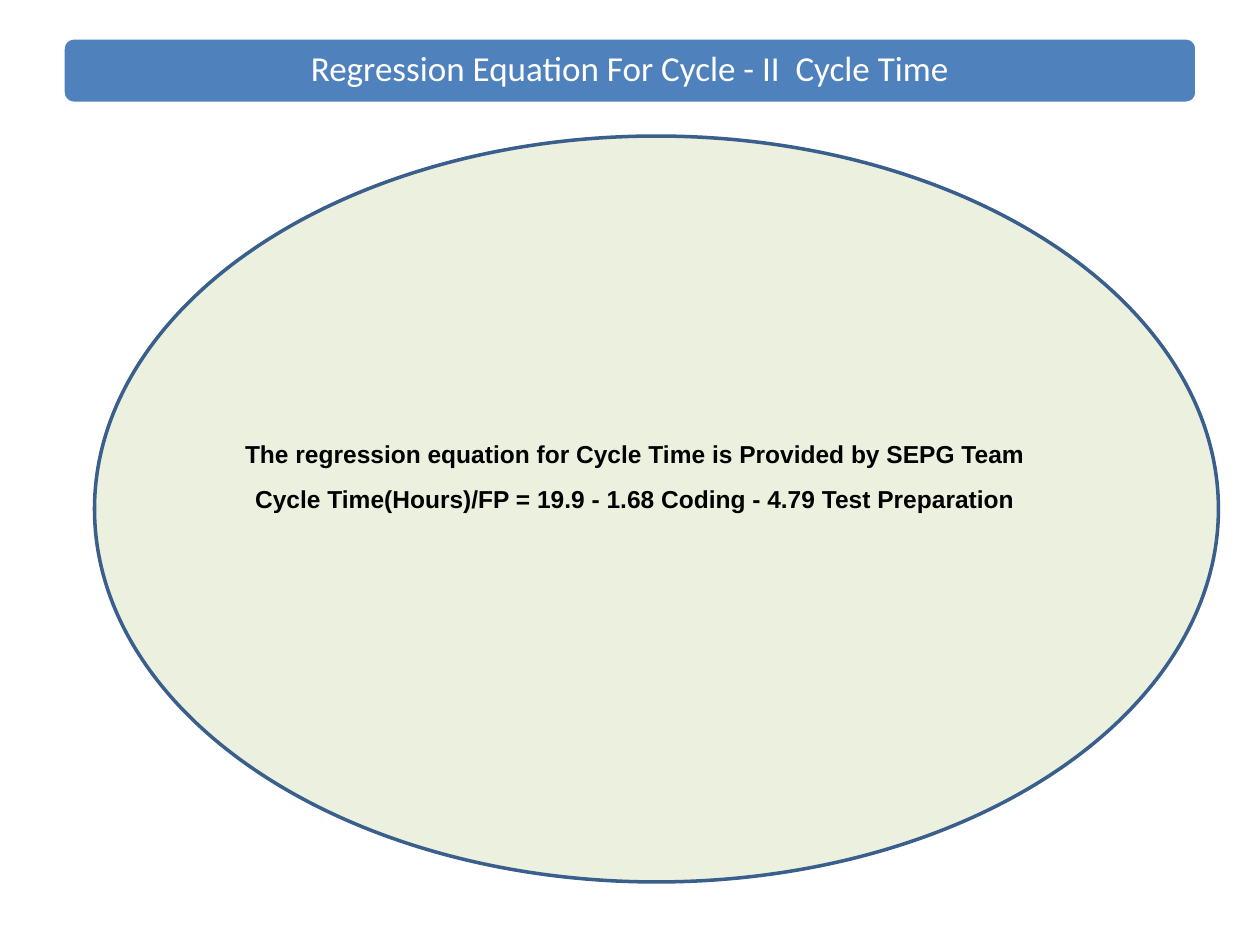
from lxml.etree import SubElement
from pptx import Presentation
from pptx.dml.color import RGBColor
from pptx.enum.shapes import MSO_SHAPE
from pptx.enum.text import MSO_ANCHOR, PP_ALIGN
from pptx.oxml.ns import qn
from pptx.util import Inches, Pt

WHITE = RGBColor(0xFF, 0xFF, 0xFF)
BLACK = RGBColor(0, 0, 0)
BLUE = RGBColor(0x4F, 0x81, 0xBD)
NAVY = RGBColor(0x3A, 0x5F, 0x8C)
PALE_GREEN = RGBColor(0xEB, 0xF1, 0xDE)

PLAIN_TABLE_STYLE = "{2D5ABB26-0587-4C30-8999-92F81FD0307C}"
TITLE = "Regression Equation For Cycle - II  Cycle Time"
ROWS = [
    (0.36, None),
    (0.25, None),
    (0.36, "The regression equation for Cycle Time is Provided by SEPG Team"),
    (0.36, "Cycle Time(Hours)/FP = 19.9 - 1.68 Coding - 4.79 Test Preparation"),
]
COLUMN_WIDTHS = [2.08] + [1.2] * 5


def add_panel(slide, kind, box, fill, line):
    sp = slide.shapes.add_shape(kind, *map(Inches, box))
    sp.shadow.inherit = False
    sp.fill.solid()
    sp.fill.fore_color.rgb = fill
    sp.line.color.rgb = line
    sp.line.width = Pt(2)
    return sp


def set_text(tf, text, font, size, color, bold=False):
    tf.text = text
    p = tf.paragraphs[0]
    p.alignment = PP_ALIGN.CENTER
    f = p.runs[0].font
    f.name, f.size, f.bold = font, Pt(size), bold
    f.color.rgb = color
    return p


def add_title_bar(slide, box):
    sp = add_panel(slide, MSO_SHAPE.ROUNDED_RECTANGLE, box, BLUE, WHITE)
    tf = sp.text_frame
    tf.word_wrap = True
    tf.vertical_anchor = MSO_ANCHOR.MIDDLE
    tf.margin_left = tf.margin_right = tf.margin_top = tf.margin_bottom = Inches(0.08)
    set_text(tf, TITLE, "Calibri", 20, WHITE).line_spacing = 0.9


def add_equation_table(slide, left, top):
    width, height = sum(COLUMN_WIDTHS), sum(h for h, _ in ROWS)
    frame = slide.shapes.add_table(len(ROWS), len(COLUMN_WIDTHS),
                                   *map(Inches, (left, top, width, height)))
    table = frame.table
    table.first_row = table.horz_banding = False
    table._tbl.tblPr.find(qn("a:tableStyleId")).text = PLAIN_TABLE_STYLE
    for column, w in zip(table.columns, COLUMN_WIDTHS):
        column.width = Inches(w)
    for i, (h, text) in enumerate(ROWS):
        row = table.rows[i]
        row.height = Inches(h)
        for cell in row.cells:
            cell.fill.background()
            cell.vertical_anchor = MSO_ANCHOR.BOTTOM
            cell.margin_left = cell.margin_right = 0
            cell.margin_top = cell.margin_bottom = 0
            # Small end marks keep empty cells from stretching their row
            SubElement(cell.text_frame.paragraphs[0]._p, qn("a:endParaRPr"), sz="1000")
        if i != 1:
            row.cells[0].merge(row.cells[len(COLUMN_WIDTHS) - 1])
        if text:
            set_text(row.cells[0].text_frame, text, "Arial", 14, BLACK, bold=True)


def main():
    prs = Presentation()
    prs.slide_width, prs.slide_height = Inches(10), Inches(7.5)
    slide = prs.slides.add_slide(prs.slide_layouts[6])
    add_title_bar(slide, (0.5, 0.3, 9, 0.52))
    add_panel(slide, MSO_SHAPE.OVAL, (0.75, 1.08, 8.92, 5.92), PALE_GREEN, NAVY)
    add_equation_table(slide, 1, 2.75)
    prs.save("out.pptx")


if __name__ == "__main__":
    main()
